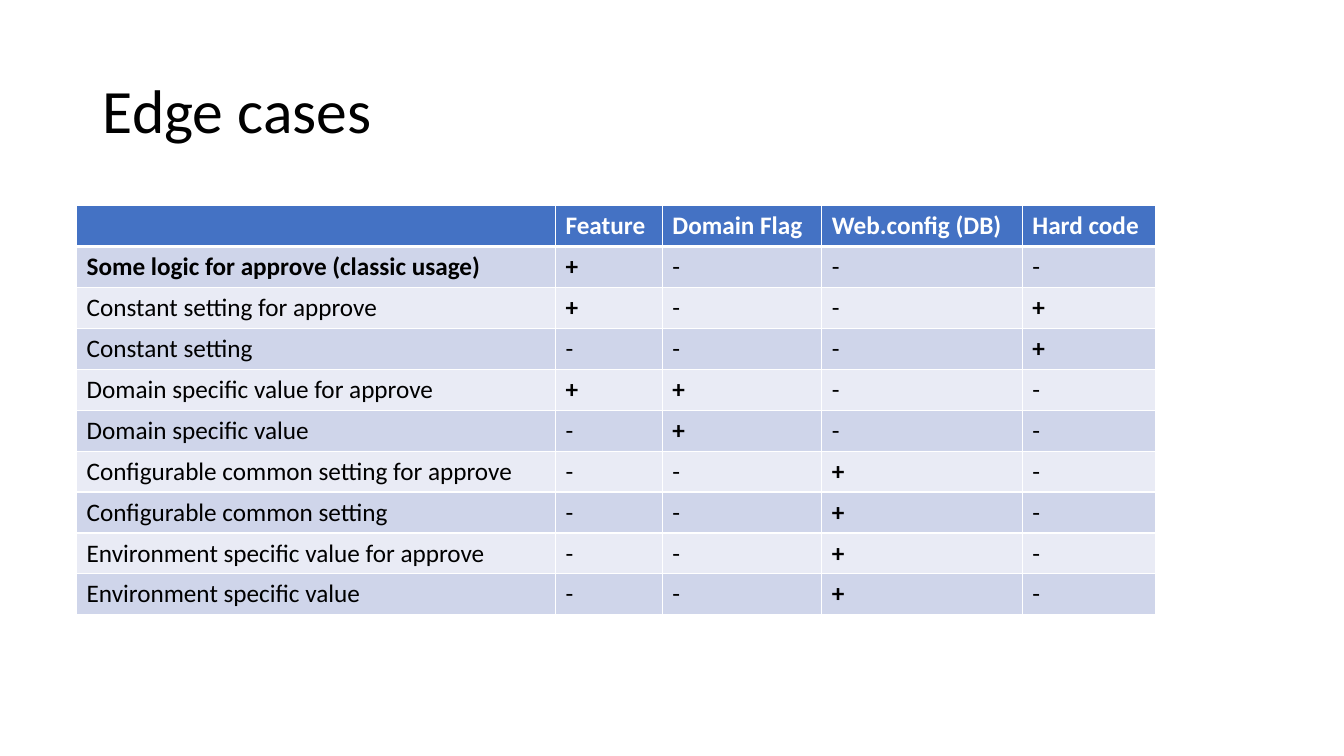
import pptx
import pptx.dml.color
import pptx.enum.text
import pptx.oxml
import pptx.oxml.ns
import pptx.util

Inches = pptx.util.Inches
COLORS = {
    "head": "4472C4",
    "dark": "CFD5EA",
    "light": "E9EBF5",
    "white": "FFFFFF",
    "black": "000000",
}
HEADS = ["", "Feature", "Domain Flag", "Web.config (DB)", "Hard code"]
CASES = [
    ("Some logic for approve (classic usage)", "+---"),
    ("Constant setting for approve", "+--+"),
    ("Constant setting", "---+"),
    ("Domain specific value for approve", "++--"),
    ("Domain specific value", "-+--"),
    ("Configurable common setting for approve", "--+-"),
    ("Configurable common setting", "--+-"),
    ("Environment specific value for approve", "--+-"),
    ("Environment specific value", "--+-"),
]
WIDTHS = [4.75, 1.06, 1.58, 1.99, 1.32]


def color(name):
    return pptx.dml.color.RGBColor.from_string(COLORS[name])


def write(para, text, size, ink, bold=False):
    run = para.add_run()
    run.text = text
    font = run.font
    font.name, font.size, font.bold = "Calibri", pptx.util.Pt(size), bold
    font.color.rgb = color(ink)


def border(cell, side, width):
    line = pptx.oxml.parse_xml(
        f'<a:ln{side} {pptx.oxml.ns.nsdecls("a")} w="{pptx.util.Pt(width)}">'
        f'<a:solidFill><a:srgbClr val="{COLORS["white"]}"/></a:solidFill>'
        f'</a:ln{side}>'
    )
    cell._tc.get_or_add_tcPr().append(line)


def add_title(slide, box, text):
    title = slide.shapes.title
    title.left, title.top, title.width, title.height = map(Inches, box)
    frame = title.text_frame
    frame.word_wrap = True
    frame.vertical_anchor = pptx.enum.text.MSO_ANCHOR.MIDDLE
    para = frame.paragraphs[0]
    para.alignment = pptx.enum.text.PP_ALIGN.LEFT
    para.line_spacing = 0.9
    write(para, text, 44, "black")


def fill_cell(cell, text, row):
    # Borders come before the fill in the cell's properties.
    for side in "LRTB":
        thick = (row, side) in [(0, "B"), (1, "T")]
        border(cell, side, 3 if thick else 1)
    cell.fill.solid()
    fill = "head" if row == 0 else "dark" if row % 2 else "light"
    cell.fill.fore_color.rgb = color(fill)
    if text:
        ink = "black" if row else "white"
        bold = row == 0 or text == "+" or text == CASES[0][0]
        write(cell.text_frame.paragraphs[0], text, 18, ink, bold)


def add_cases(slide, box):
    rows = [HEADS] + [[name, *marks] for name, marks in CASES]
    frame = slide.shapes.add_table(len(rows), len(HEADS), *map(Inches, box))
    table = frame.table
    for col, width in zip(table.columns, WIDTHS):
        col.width = Inches(width)
    for r, row in enumerate(rows):
        table.rows[r].height = Inches(box[3] / len(rows))
        for c, text in enumerate(row):
            fill_cell(table.cell(r, c), text, r)


def main():
    deck = pptx.Presentation()
    deck.slide_width, deck.slide_height = Inches(13.33), Inches(7.5)
    slide = deck.slides.add_slide(deck.slide_layouts[5])
    add_title(slide, (0.92, 0.4, 11.5, 1.45), "Edge cases")
    add_cases(slide, (0.76, 2.04, sum(WIDTHS), 4.06))
    deck.save("out.pptx")


if __name__ == "__main__":
    main()
